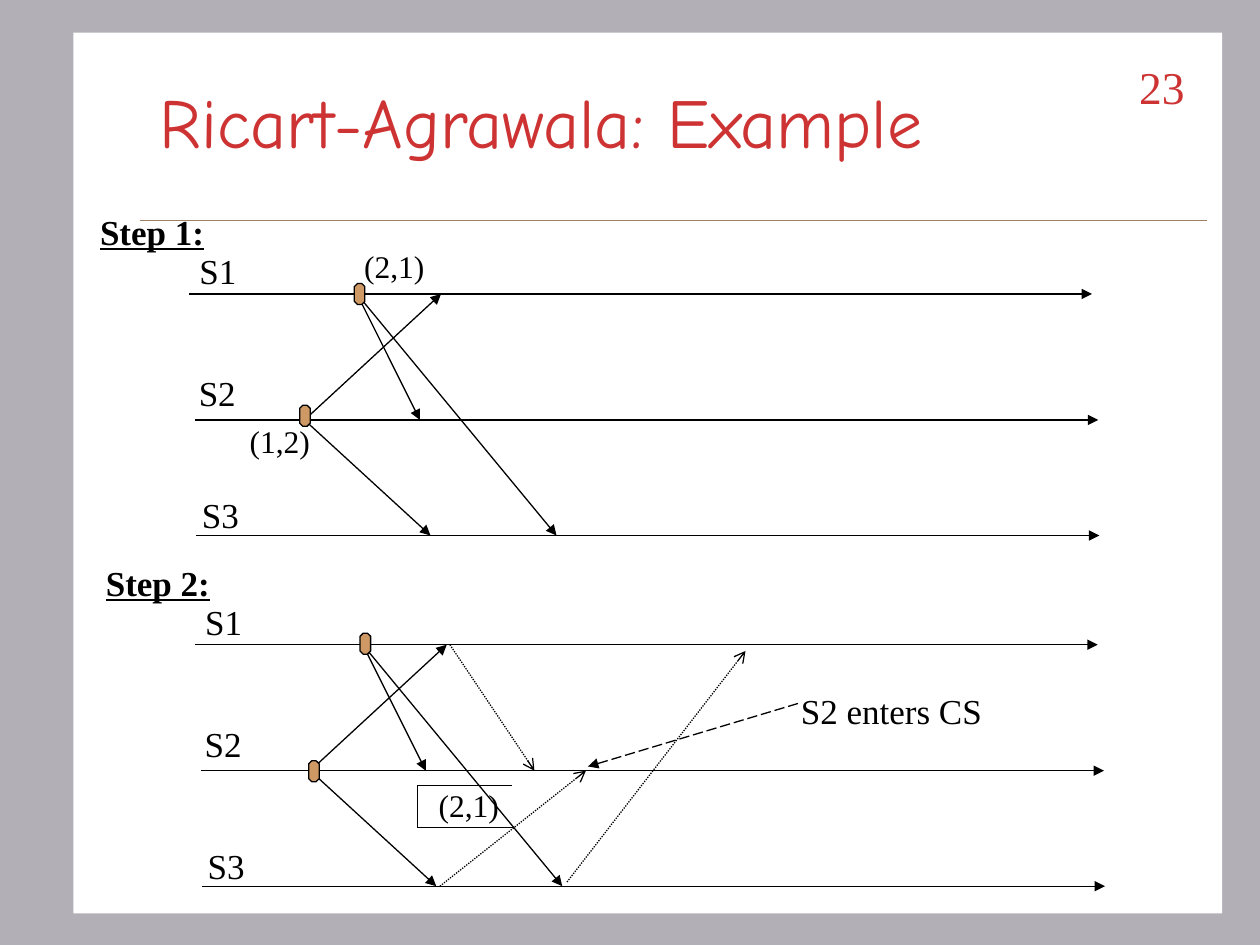
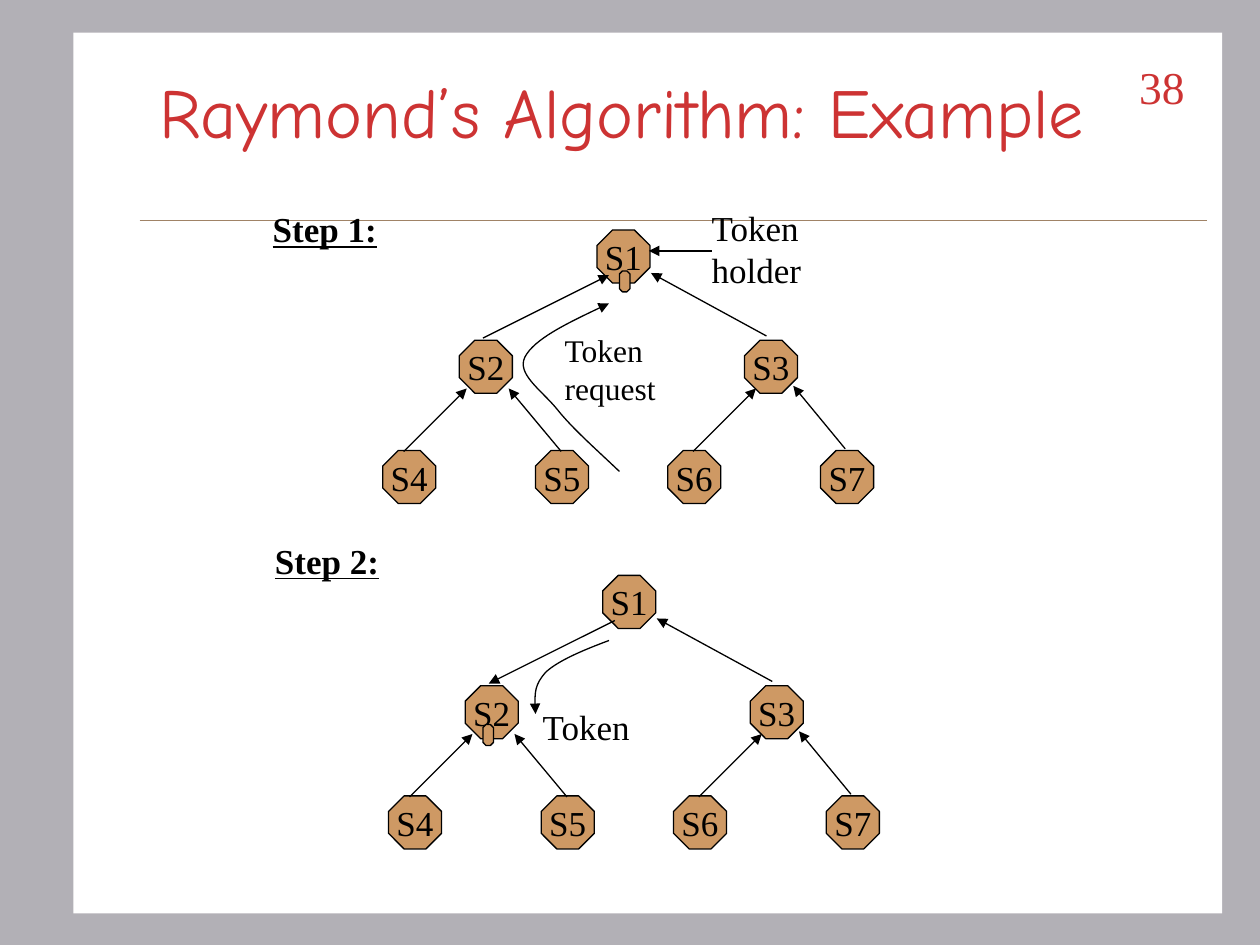
import itertools

import lxml.etree
import pptx
import pptx.dml.color
import pptx.enum.dml
import pptx.enum.shapes
import pptx.enum.text
import pptx.oxml.ns
import pptx.util

RED, INK, TAN, WHITE, GREY, RULE = "CD3333", "000000", "CE9964", "FFFFFF", "B2B0B6", "A08366"
SERIF, HAND = "Times New Roman", "Comic Neue"
COLS, ROWS = 120, 90
CELL = pptx.util.Inches(10) // COLS
DOT = pptx.enum.dml.MSO_LINE.ROUND_DOT
DASH = pptx.enum.dml.MSO_LINE.LONG_DASH
MIDDLE = pptx.enum.text.MSO_ANCHOR.MIDDLE
ALIGN = pptx.enum.text.PP_ALIGN
SHAPE = pptx.enum.shapes.MSO_SHAPE
STRAIGHT = pptx.enum.shapes.MSO_CONNECTOR.STRAIGHT
qn = pptx.oxml.ns.qn


def hue(code):
    return pptx.dml.color.RGBColor.from_string(code)


def grid(*cells):
    return [round(cell * CELL) for cell in cells]


# Every length below is in grid cells.
# Strokes: points, dash, arrowhead.  Solids: label, x, y, width, height.
# Labels: words, x, y, width, size, heading.

# Ricart-Agrawala: three time lines, shown at two steps
time = {"title": "Ricart-Agrawala: Example", "top": 4, "number": "23",
        "strokes": [], "solids": [], "labels": []}
for step, (dx, dy) in enumerate([(0, 0), (0.55, 33.4)], 1):
    time["labels"].append((f"Step {step}:", 8.35 + dx, 19.45 + dy, 12.35, 20, True))
    sites = [(18, 28, 17.8, 23.2), (18.6, 40, 17.75, 34.8), (18.7, 51, 18.05, 46.4)]
    for site, (x, y, left, top) in enumerate(sites, 1):
        line = [(x + dx, y + dy), (x + dx + 86, y + dy)]
        time["strokes"].append((line, None, "triangle"))
        time["labels"].append((f"S{site}", left + dx, top + dy, 5.9, 20, False))
    for x, y, to_x, to_y in [(34, 28, 40, 40), (34, 28, 53, 51),
                             (29, 40, 42, 28), (29, 40, 41, 51)]:
        line = [(x + dx, y + dy), (to_x + dx, to_y + dy)]
        time["strokes"].append((line, None, "triangle"))
for x, y in [(33.75, 27), (28.55, 38.6), (34.3, 60.3), (29.4, 72.45)]:
    time["solids"].append(("", x, y, 1, 2))
queue = [(48.75, 74.8), (39.75, 74.8), (39.75, 78.8), (48.9, 78.8)]
time["strokes"] += [(side, None, None) for side in itertools.pairwise(queue)]
time["strokes"] += [
    ([(42.85, 61.4), (50.9, 73.4)], DOT, "arrow"),
    ([(41.9, 84.4), (55.8, 73.4)], DOT, "arrow"),
    ([(54, 84), (71, 62)], DOT, "arrow"),
    ([(76, 67), (56, 73)], DASH, "triangle"),
]
time["labels"] += [
    ("(2,1)", 33.5, 22.9, 8.2, 18, False),
    ("(1,2)", 22.6, 39.6, 8.2, 18, False),
    ("(2,1)", 40.6, 74.3, 8.2, 18, False),
    ("S2 enters CS", 75.1, 65.05, 19.7, 20, False),
]

# Raymond: a tree of seven sites, shown at two steps
tree = {"title": "Raymond’s Algorithm: Example", "top": 3, "number": "38",
        "strokes": [], "solids": [], "labels": []}
levels = [[56.85], [43.75, 70.9], [36.45, 51, 63.6, 78.15]]
links = [(38.45, 43, 44.45, 37), (66, 43, 72, 37), (53.45, 43, 48.45, 37),
         (80.5, 42.75, 75.55, 36.75), (73, 32, 62, 26)]
for dx, dy in [(0, 0), (0.55, 32.9)]:
    site = itertools.count(1)
    for level, lefts in enumerate(levels):
        for x in lefts:
            tree["solids"].append((f"S{next(site)}", x + dx, 21.9 + 10.5 * level + dy, 5.05, 5.05))
    for x, y, to_x, to_y in links:
        line = [(x + dx, y + dy), (to_x + dx, to_y + dy)]
        tree["strokes"].append((line, None, "triangle"))
tree["solids"] += [("", 59, 25.8, 1, 2), ("", 46, 69, 1, 2)]
ask = [(59, 44.9), (56.8, 42.8), (54.5, 40.8), (53, 38.9), (51.5, 37.1),
       (49.2, 35.6), (50, 34), (50.9, 32.3), (54.4, 30.6), (58, 28.9)]
grant = [(58, 61), (55.6, 61.9), (53.2, 62.9), (52, 64), (50.9, 65.2), (50.9, 66.6), (51, 68)]
holder = [(67.8, 23.9), (61.8, 23.9)]
up = [(46, 32.2), (58, 26.2)]
down = [(58.55, 59.1), (46.55, 65.1)]
tree["strokes"] += [(line, None, "triangle") for line in (ask, grant, holder, up, down)]
tree["labels"] += [
    ("Step 1:", 24.8, 19.2, 12.35, 20, True),
    ("Step 2:", 25, 50.8, 12.35, 20, True),
    ("Token\nholder", 66.6, 19.1, 12, 20, False),
    ("Token\nrequest", 52.6, 30.95, 12, 18, False),
    ("Token", 50.5, 66.6, 12, 20, False),
]

# Deck and shared background
deck = pptx.Presentation()
deck.slide_width, deck.slide_height = grid(COLS, ROWS)
back = deck.slide_master.background.fill
back.solid()
back.fore_color.rgb = hue(GREY)

for page in (time, tree):
    slide = deck.slides.add_slide(deck.slide_layouts[5])
    shapes = slide.shapes

    # White panel
    panel = shapes.add_shape(SHAPE.RECTANGLE, *grid(7, 3.1, 109.4, 83.9))
    panel.shadow.inherit = False
    panel.fill.solid()
    panel.fill.fore_color.rgb = hue(WHITE)
    panel.line.fill.background()

    # Title, raised above the panel
    title = shapes.title
    title.left, title.top, title.width, title.height = grid(14, page["top"], 102, 15)
    title.text_frame.text = page["title"]
    title.text_frame.vertical_anchor = MIDDLE
    para = title.text_frame.paragraphs[0]
    para.alignment = ALIGN.LEFT
    para.font.name, para.font.size = HAND, pptx.util.Pt(40)
    para.font.color.rgb = hue(RED)
    panel._element.addnext(title._element)

    # Slide number
    box = shapes.add_textbox(*grid(104, 5, 10, 6))
    box.text_frame.text = page["number"]
    para = box.text_frame.paragraphs[0]
    para.alignment = ALIGN.RIGHT
    para.font.name, para.font.size = SERIF, pptx.util.Pt(26)
    para.font.color.rgb = hue(RED)

    # Octagons: named sites and small unnamed tokens
    beads = []
    for words, *place in page["solids"]:
        node = shapes.add_shape(SHAPE.OCTAGON, *grid(*place))
        node.shadow.inherit = False
        node.fill.solid()
        node.fill.fore_color.rgb = hue(TAN)
        node.line.color.rgb = hue(INK)
        node.line.width = pptx.util.Pt(0.75)
        if not words:
            beads.append(node)
            continue
        node.text_frame.text = words
        node.text_frame.word_wrap = False
        node.text_frame.vertical_anchor = MIDDLE
        para = node.text_frame.paragraphs[0]
        para.alignment = ALIGN.CENTER
        para.font.name, para.font.size = SERIF, pptx.util.Pt(20)
        para.font.color.rgb = hue(INK)

    # Title rule, straight lines and curves
    rule = ([(13.3, 21), (115, 21)], None, None)
    for stroke in [rule] + page["strokes"]:
        points, dash, tip = stroke
        start, *rest = [grid(*point) for point in points]
        if len(rest) == 1:
            line = shapes.add_connector(STRAIGHT, *start, *rest[0])
        else:
            pen = shapes.build_freeform(*start)
            pen.add_line_segments(rest, close=False)
            line = pen.convert_to_shape()
            line.fill.background()
            # Each three points become one cubic curve
            legs = list(line._element.iter(qn("a:lnTo")))
            for first, *more in zip(legs[::3], legs[1::3], legs[2::3]):
                first.tag = qn("a:cubicBezTo")
                for leg in more:
                    first.append(leg[0])
                    leg.getparent().remove(leg)
        line.line.color.rgb = hue(RULE if stroke is rule else INK)
        line.line.width = pptx.util.Pt(0.25 if stroke is rule else 0.75)
        if dash:
            line.line.dash_style = dash
        if tip:
            lxml.etree.SubElement(line.line._get_or_add_ln(), qn("a:tailEnd"), type=tip)
        lxml.etree.SubElement(line._element.spPr, qn("a:effectLst"))

    # Tokens lie over the lines
    for bead in beads:
        shapes._spTree.append(bead._element)

    # Labels
    for words, x, y, width, size, head in page["labels"]:
        rows = words.count("\n") + 1
        box = shapes.add_textbox(*grid(x, y, width, rows * size * 0.2 + 1.2))
        box.text_frame.word_wrap = False
        box.text_frame.text = words
        for para in box.text_frame.paragraphs:
            para.font.name, para.font.size = SERIF, pptx.util.Pt(size)
            para.font.color.rgb = hue(INK)
            para.font.bold = para.font.underline = head

deck.save("out.pptx")
